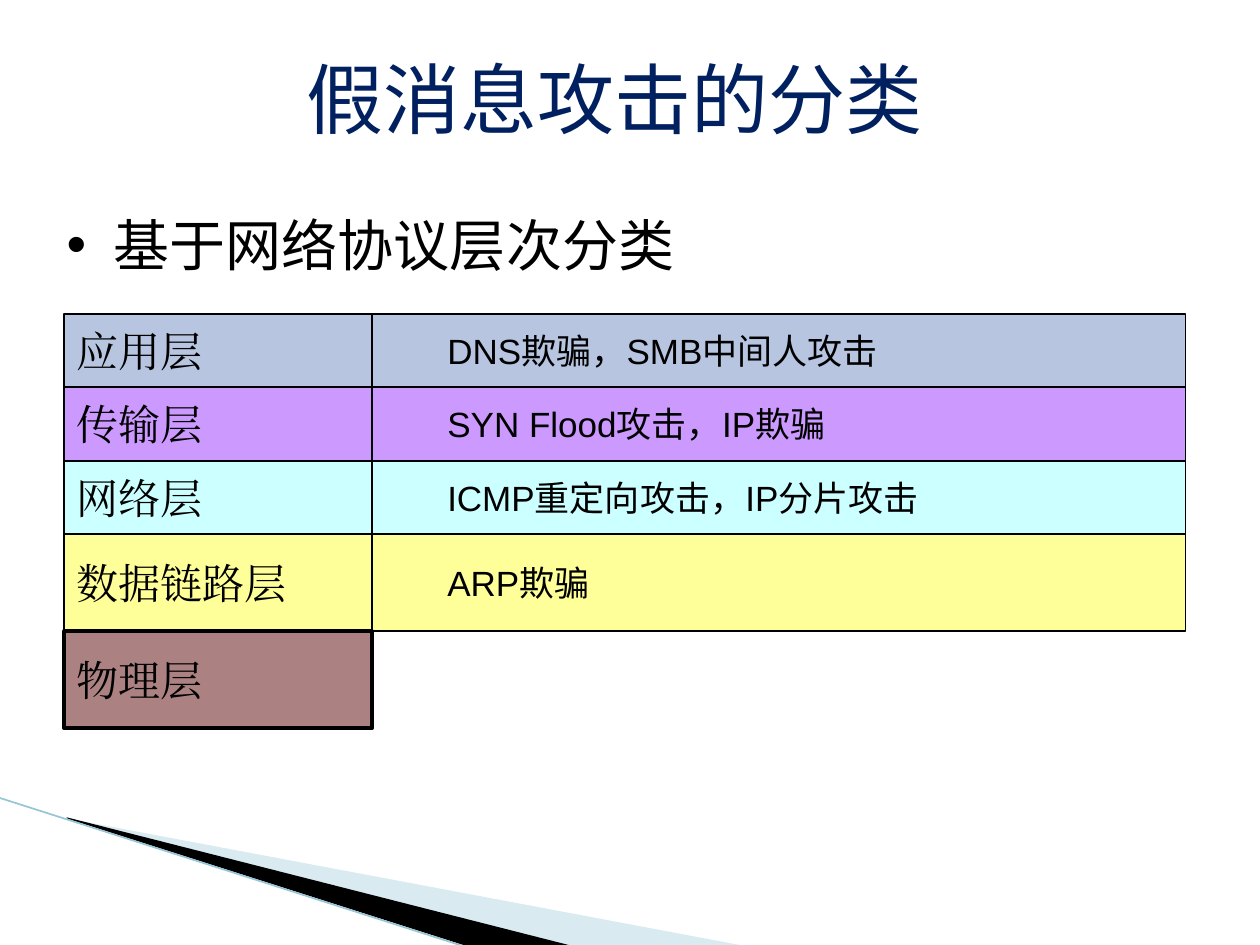
from pptx import Presentation
from pptx.dml.color import RGBColor
from pptx.enum.shapes import MSO_CONNECTOR as CONN, MSO_SHAPE as SHAPE
from pptx.enum.text import MSO_ANCHOR as ANCHOR, MSO_AUTO_SIZE as AUTO, PP_ALIGN as ALIGN
from pptx.oxml.ns import qn
from pptx.util import Pt
from lxml.etree import SubElement


def rgb(value):
    return RGBColor.from_string(value)


class Deck:
    TITLE = {"size": Pt(44), "name": "DejaVu Sans Mono", "color": "002060"}
    BODY = {"size": Pt(32), "name": "DejaVu Sans Mono", "color": "000000"}
    LAYER = {"size": Pt(24), "name": "Times New Roman", "color": "000000"}
    ATTACK = {"size": Pt(20), "name": "Arial", "color": "000000"}

    def __init__(self, width, height):
        self.prs = Presentation()
        self.prs.slide_width, self.prs.slide_height = Pt(width), Pt(height)
        self.s = self.prs.slides.add_slide(self.prs.slide_layouts[5])

    def text(self, tf, text, style, anchor=ANCHOR.TOP, align=ALIGN.LEFT, indent=(0, 0), bullet=None):
        frame = {"word_wrap": True, "auto_size": AUTO.NONE, "vertical_anchor": anchor}
        for key, value in frame.items():
            setattr(tf, key, value)
        p = tf.paragraphs[0]
        p.alignment = align
        pPr = p._p.get_or_add_pPr()
        for key, value in zip(("marL", "indent"), indent):
            pPr.set(key, str(Pt(value)))
        if bullet:
            SubElement(pPr, qn("a:buFont")).set("typeface", "Arial")
            SubElement(pPr, qn("a:buChar")).set("char", bullet)
        r = p.add_run()
        r.text = text
        for key, value in style.items():
            if key == "color":
                r.font.color.rgb = rgb(value)
            else:
                setattr(r.font, key, value)
        SubElement(r._r.get_or_add_rPr(), qn("a:ea")).set("typeface", style["name"])

    def title(self, text, x, y, w, h):
        sp = self.s.shapes.title
        for key, value in zip(("left", "top", "width", "height"), (x, y, w, h)):
            setattr(sp, key, Pt(value))
        self.text(sp.text_frame, text, self.TITLE, align=ALIGN.CENTER)

    def bullet(self, text, x, y, w, h):
        sp = self.s.shapes.add_textbox(Pt(x), Pt(y), Pt(w), Pt(h))
        self.text(sp.text_frame, text, self.BODY, indent=(27, -27), bullet="•")

    def cell(self, text, x, y, w, h, fill, style, line=1, margin=0):
        sp = self.s.shapes.add_shape(SHAPE.RECTANGLE, Pt(x), Pt(y), Pt(w), Pt(h))
        sp.shadow.inherit = False
        sp.fill.solid()
        sp.fill.fore_color.rgb = rgb(fill)
        sp.line.color.rgb = rgb("000000")
        sp.line.width = Pt(line)
        self.text(sp.text_frame, text, style, ANCHOR.MIDDLE, indent=(margin, 0))

    def wedge(self, points, fill, alpha=100):
        builder = self.s.shapes.build_freeform(*points[0], scale=Pt(1))
        builder.add_line_segments(points[1:], close=True)
        sp = builder.convert_to_shape()
        sp.shadow.inherit = False
        sp.fill.solid()
        sp.fill.fore_color.rgb = rgb(fill)
        sp.line.fill.background()
        if alpha < 100:
            color = sp._element.spPr.find(qn("a:solidFill"))[0]
            SubElement(color, qn("a:alpha")).set("val", str(alpha * 1000))

    def line(self, x1, y1, x2, y2, color, width):
        cx = self.s.shapes.add_connector(CONN.STRAIGHT, Pt(x1), Pt(y1), Pt(x2), Pt(y2))
        cx.line.color.rgb = rgb(color)
        cx.line.width = Pt(width)
        SubElement(cx._element.spPr, qn("a:effectLst"))


LAYERS = [
    ("应用层", "DNS欺骗，SMB中间人攻击", "B7C5E1", 42),
    ("传输层", "SYN Flood攻击，IP欺骗", "CC99FF", 42),
    ("网络层", "ICMP重定向攻击，IP分片攻击", "CCFFFF", 42),
    ("数据链路层", "ARP欺骗", "FFFF99", 55.5),
    ("物理层", None, "AB8181", 55.5),
]
LEFT, TOP, LAYER_W, ATTACK_W = 36.75, 179.25, 175.75, 465


def main():
    deck = Deck(720, 540)
    deck.wedge([(39.6, 468.5), (428.4, 540.7), (328.3, 540.7), (39.6, 468)], "A0CBDC", 40)
    deck.wedge([(38.2, 467.3), (329, 540.7), (267.8, 541.4), (38.9, 468)], "000000")
    deck.line(-0.7, 455.8, 267.1, 541.4, "97C5D8", 0.95)
    deck.title("假消息攻击的分类", 36.7, 26, 629.3, 72)
    deck.bullet("基于网络协议层次分类", 31, 116.6, 470.9, 56.9)

    y = TOP
    for layer, attack, fill, h in LAYERS:
        if attack:
            deck.cell(attack, LEFT + LAYER_W, y, ATTACK_W, h, fill, deck.ATTACK, margin=36)
        deck.cell(layer, LEFT, y, LAYER_W, h, fill, deck.LAYER, line=1 if attack else 2.25)
        y += h

    deck.prs.save("out.pptx")


if __name__ == "__main__":
    main()
